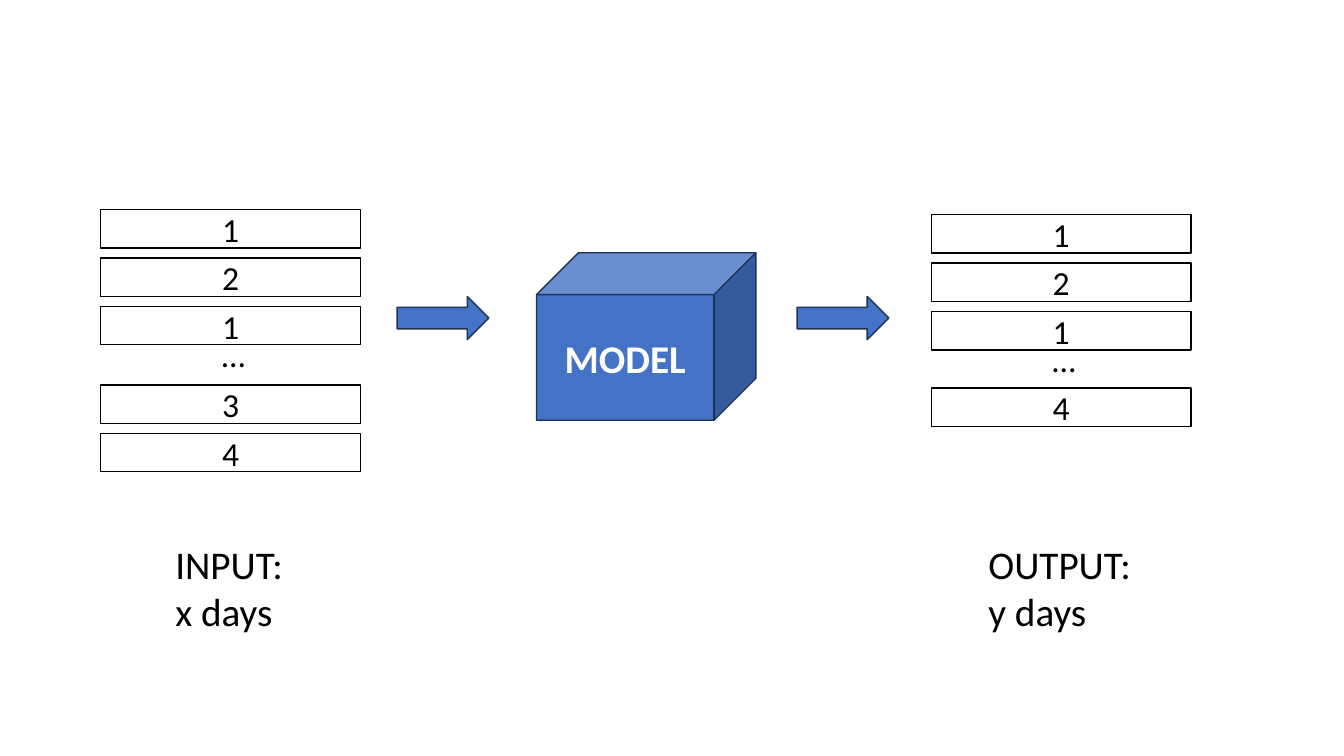
import pptx
import pptx.dml.color
import pptx.enum.shapes
import pptx.enum.text
import pptx.util

Cm = pptx.util.Cm
Pt = pptx.util.Pt
ShapeType = pptx.enum.shapes.MSO_SHAPE
Align = pptx.enum.text.PP_ALIGN

BLACK = pptx.dml.color.RGBColor(0x00, 0x00, 0x00)
WHITE = pptx.dml.color.RGBColor(0xFF, 0xFF, 0xFF)
BLUE = pptx.dml.color.RGBColor(0x44, 0x72, 0xC4)
NAVY = pptx.dml.color.RGBColor(0x1E, 0x32, 0x56)

FONT = "Calibri"
DAY_WIDTH = 6.55
DAY_HEIGHT = 0.97
DAY_PITCH = 1.22


def format_text(frame, text, size, color, alignment, bold=False):
    frame.text = text
    for paragraph in frame.paragraphs:
        paragraph.alignment = alignment
        paragraph.font.name = FONT
        paragraph.font.size = Pt(size)
        paragraph.font.bold = bold
        paragraph.font.color.rgb = color


def add_block(shapes, kind, left, top, width, height, fill, line):
    shape = shapes.add_shape(kind, Cm(left), Cm(top), Cm(width), Cm(height))
    shape.shadow.inherit = False
    shape.fill.solid()
    shape.fill.fore_color.rgb = fill
    shape.line.color.rgb = line
    shape.line.width = Pt(1)
    shape.text_frame.vertical_anchor = pptx.enum.text.MSO_ANCHOR.MIDDLE
    return shape


def add_label(shapes, text, left, top, width, height, size):
    box = shapes.add_textbox(Cm(left), Cm(top), Cm(width), Cm(height))
    box.text_frame.word_wrap = False
    box.text_frame.auto_size = pptx.enum.text.MSO_AUTO_SIZE.SHAPE_TO_FIT_TEXT
    format_text(box.text_frame, text, size, BLACK, Align.LEFT)


def add_days(slide, left, top, first_days, last_top, last_days):
    """Stack the first days, an ellipsis and the last days in one group."""
    shapes = slide.shapes.add_group_shape().shapes
    for start, days in ((top, first_days), (last_top, last_days)):
        for row, day in enumerate(days):
            block = add_block(shapes, ShapeType.RECTANGLE, left,
                              start + row * DAY_PITCH,
                              DAY_WIDTH, DAY_HEIGHT, WHITE, BLACK)
            format_text(block.text_frame, day, 24, BLACK, Align.CENTER)
    add_label(shapes, "…", left + 2.8, top + 3.01, 0.94, 1.27, 24)


def add_model(slide):
    cube = add_block(slide.shapes, ShapeType.CUBE,
                     13.52, 6.37, 5.53, 4.22, BLUE, NAVY)
    format_text(cube.text_frame, "MODEL", 28, WHITE, Align.CENTER, bold=True)


def main():
    presentation = pptx.Presentation()
    presentation.slide_width = Cm(33.87)
    presentation.slide_height = Cm(19.05)
    slide = presentation.slides.add_slide(presentation.slide_layouts[6])

    add_days(slide, 2.54, 5.28, ["1", "2", "1"], 9.7, ["3", "4"])
    add_model(slide)
    add_days(slide, 23.47, 5.41, ["1", "2", "1"], 9.78, ["4"])
    for left in (10.01, 20.09):
        add_block(slide.shapes, ShapeType.RIGHT_ARROW,
                  left, 7.47, 2.31, 1.09, BLUE, NAVY)
    add_label(slide.shapes, "INPUT:\nx days", 4.17, 13.49, 3.33, 2.64, 28)
    add_label(slide.shapes, "OUTPUT:\ny days", 24.66, 13.49, 4.14, 2.64, 28)

    presentation.save("out.pptx")


if __name__ == "__main__":
    main()
